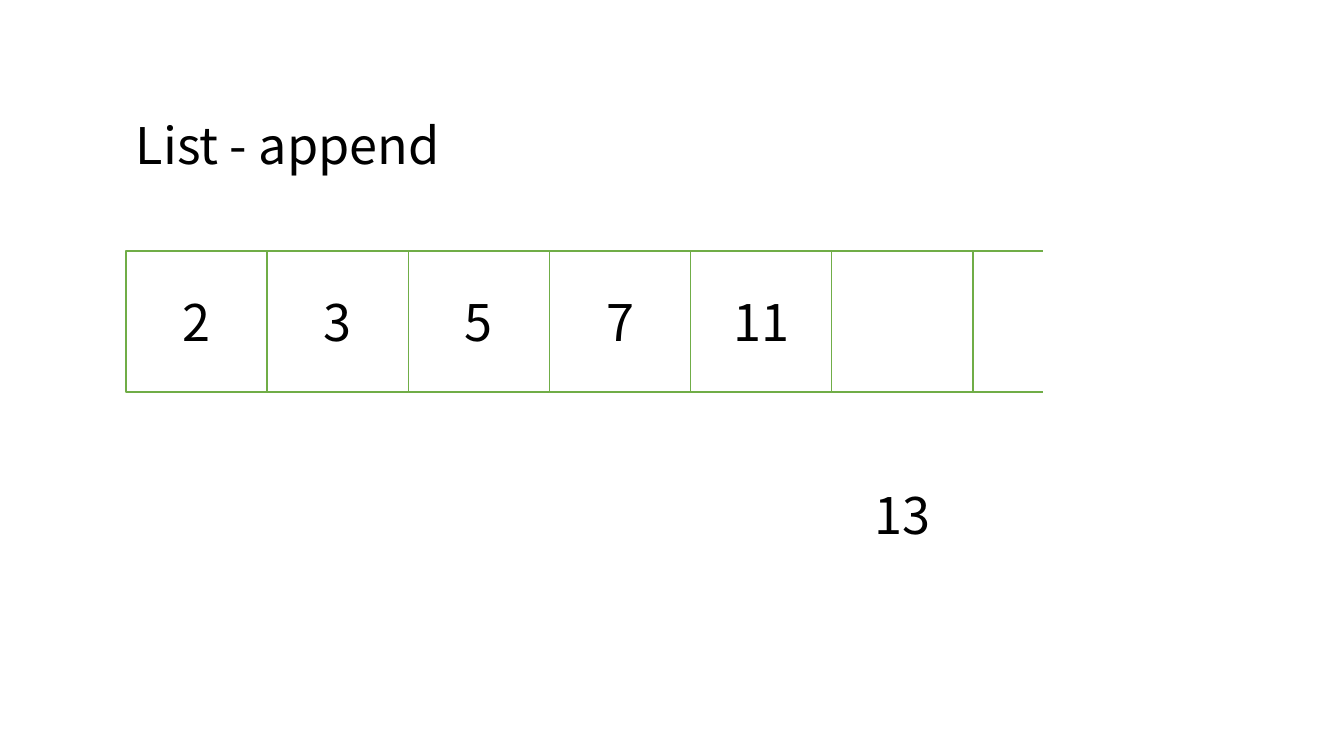
from pptx import Presentation
from pptx import util as u
from pptx.dml import color
from pptx.enum import shapes, text

HUES = {"ink": "000000", "paper": "FFFFFF", "edge": "70AD47"}
FONT = {"name": "Noto Sans CJK JP", "size": u.Pt(36)}
SIDE = 1.4
LEFT = 1.25
ITEMS = ["2", "3", "5", "7", "11", "", ""]


def hue(key):
    return color.RGBColor.from_string(HUES[key])


def style(thing, form):
    for key, value in form.items():
        setattr(thing, key, value)


def write(frame, words, side, form):
    style(frame, {"word_wrap": True, **form})
    para = frame.paragraphs[0]
    para.alignment = side
    run = para.add_run()
    run.text = words
    style(run.font, FONT)
    run.font.color.rgb = hue("ink")


def block(slide, box, edge):
    shape = slide.shapes.add_shape(
        shapes.MSO_SHAPE.RECTANGLE, *map(u.Inches, box))
    shape.shadow.inherit = False
    shape.fill.solid()
    shape.fill.fore_color.rgb = hue("paper")
    shape.line.color.rgb = hue(edge)
    shape.line.width = u.Pt(1)
    return shape


def label(slide, box, words, side, anchor):
    frame = slide.shapes.add_textbox(*map(u.Inches, box)).text_frame
    write(frame, words, side, {
        "vertical_anchor": anchor,
        "auto_size": text.MSO_AUTO_SIZE.SHAPE_TO_FIT_TEXT})


def cells(slide, box, items):
    left, top, width, height = box
    step = width / len(items)
    for spot, item in enumerate(items):
        cell = block(slide, (left + spot * step, top, step, height), "edge")
        if item:
            write(cell.text_frame, item, text.PP_ALIGN.CENTER,
                  {"vertical_anchor": text.MSO_ANCHOR.MIDDLE})
    block(slide, (left + width - step / 2, top - 0.26, step, 2.11), "paper")


def main():
    deck = Presentation()
    style(deck, {"slide_width": u.Inches(13.33),
                 "slide_height": u.Inches(7.5)})
    slide = deck.slides.add_slide(deck.slide_layouts[6])
    cells(slide, (LEFT, 2.49, SIDE * len(ITEMS), SIDE), ITEMS)
    label(slide, (LEFT, 1.08, 3.92, 0.71), "List - append",
          text.PP_ALIGN.LEFT, text.MSO_ANCHOR.TOP)
    label(slide, (LEFT + ITEMS.index("") * SIDE, 4.75, SIDE, 0.71), "13",
          text.PP_ALIGN.CENTER, text.MSO_ANCHOR.MIDDLE)
    deck.save("out.pptx")


main()
